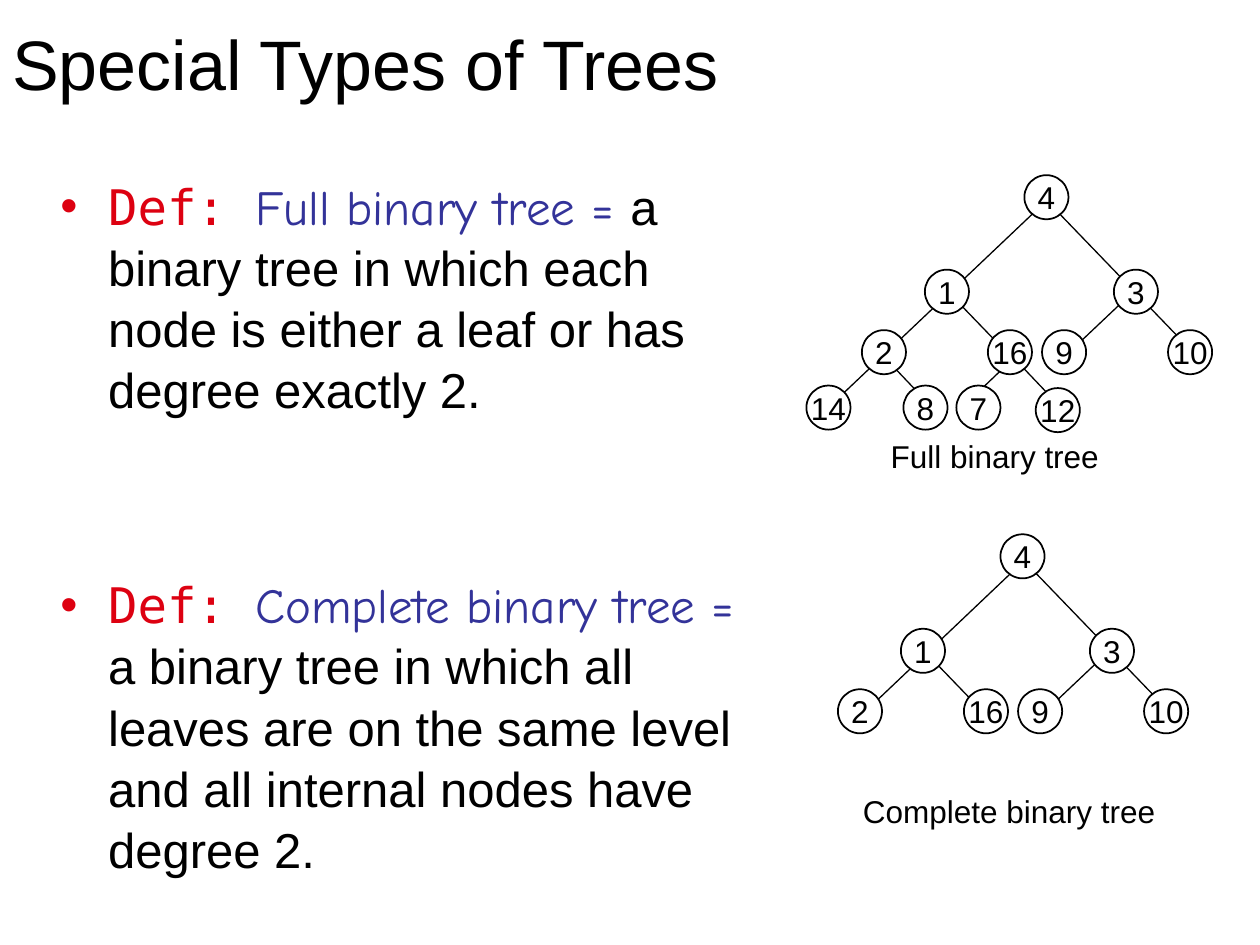
from lxml.etree import SubElement
from pptx import Presentation
from pptx.dml.color import RGBColor
from pptx.enum.shapes import MSO_CONNECTOR, MSO_SHAPE
from pptx.enum.text import MSO_ANCHOR, PP_ALIGN
from pptx.oxml.ns import qn
from pptx.util import Inches, Pt

COLORS = {"ink": "000000", "paper": "FFFFFF", "label": "DD0111", "term": "333399"}
NODE_SIZE = 0.35
TOP_NODES = [("4", 1.73, 0), ("1", 0.94, 0.75), ("3", 2.44, 0.75),
             ("2", 0.44, 1.23), ("16", 1.44, 1.23), ("9", 1.87, 1.23), ("10", 2.87, 1.23)]
LEAF_NODES = [("14", 0, 1.67), ("8", 0.77, 1.67), ("7", 1.19, 1.67), ("12", 1.82, 1.69)]
TOP_EDGES = [(2.05, 1.44, 2.61, 0.91), (1.63, 1.45, 1.09, 0.89), (3.14, 1.48, 1.8, 0.09)]
FULL_EDGES = [(2.13, 1.96, 1.55, 1.35), (1.24, 1.84, 1.69, 1.41),
              (1.08, 1.93, 0.5, 1.32), (0.19, 1.83, 1.94, 0.17)]
COMPLETE_EDGES = [(0.56, 1.5, 1.97, 0.16)]
DEFINITIONS = [
    ("Full binary tree = ",
     "a binary tree in which each node is either a leaf or has degree exactly 2."),
    ("Complete binary tree = ",
     "a binary tree in which all leaves are on the same level "
     "and all internal nodes have degree 2."),
]


def rgb(name):
    """Return the named colour."""
    return RGBColor.from_string(COLORS[name])


def write(paragraph, text, size=18, font="Arial", color="ink", align=PP_ALIGN.LEFT):
    """Add one formatted run to a paragraph."""
    paragraph.alignment = align
    run = paragraph.add_run()
    run.text = text
    run.font.size = Pt(size)
    run.font.name = font
    run.font.color.rgb = rgb(color)


def add_bullet(paragraph):
    """Give a paragraph a hanging red bullet."""
    properties = paragraph._p.get_or_add_pPr()
    properties.set("marL", str(Inches(0.38)))
    properties.set("indent", str(-Inches(0.38)))
    bullet_color = SubElement(properties, qn("a:buClr"))
    SubElement(bullet_color, qn("a:srgbClr"), val=COLORS["label"])
    SubElement(properties, qn("a:buFont"), typeface="Arial")
    SubElement(properties, qn("a:buChar"), char="•")


def add_title(slide, left, top, width, height):
    """Place the slide title."""
    title = slide.shapes.add_textbox(Inches(left), Inches(top), Inches(width), Inches(height))
    title.text_frame.word_wrap = True
    title.text_frame.vertical_anchor = MSO_ANCHOR.MIDDLE
    write(title.text_frame.paragraphs[0], "Special Types of Trees", size=40)


def add_definitions(slide, left, top, width, height):
    """Place the bulleted definitions."""
    body = slide.shapes.add_textbox(Inches(left), Inches(top), Inches(width), Inches(height))
    frame = body.text_frame
    frame.word_wrap = True
    for index, (term, meaning) in enumerate(DEFINITIONS):
        paragraph = frame.add_paragraph() if index else frame.paragraphs[0]
        add_bullet(paragraph)
        paragraph.line_spacing = 1.04
        if index:
            paragraph.space_before = Pt(88)
        write(paragraph, "Def: ", size=28, font="DejaVu Sans Mono", color="label")
        write(paragraph, term, size=28, font="Comic Neue", color="term")
        write(paragraph, meaning, size=28)


def add_edge(shapes, x1, y1, x2, y2):
    """Draw a thin line between two points."""
    edge = shapes.add_connector(MSO_CONNECTOR.STRAIGHT,
                                Inches(x1), Inches(y1), Inches(x2), Inches(y2))
    edge.line.color.rgb = rgb("ink")
    edge.line.width = Pt(0.75)
    SubElement(edge._element.spPr, qn("a:effectLst"))


def add_node(shapes, key, left, top):
    """Draw a circle holding its key."""
    node = shapes.add_shape(MSO_SHAPE.OVAL, Inches(left), Inches(top),
                            Inches(NODE_SIZE), Inches(NODE_SIZE))
    node.shadow.inherit = False
    node.fill.solid()
    node.fill.fore_color.rgb = rgb("paper")
    node.line.color.rgb = rgb("ink")
    node.line.width = Pt(1)
    node.text_frame.word_wrap = False
    node.text_frame.vertical_anchor = MSO_ANCHOR.MIDDLE
    write(node.text_frame.paragraphs[0], key, align=PP_ALIGN.CENTER)


def add_tree(slide, left, top, nodes, edges, caption, caption_box):
    """Place a grouped tree with its caption, measured from its top left corner."""
    shapes = slide.shapes.add_group_shape().shapes
    for x1, y1, x2, y2 in edges:
        add_edge(shapes, left + x1, top + y1, left + x2, top + y2)
    for key, x, y in nodes:
        add_node(shapes, key, left + x, top + y)
    x, y, width, height = caption_box
    label = shapes.add_textbox(Inches(left + x), Inches(top + y), Inches(width), Inches(height))
    label.text_frame.word_wrap = False
    write(label.text_frame.paragraphs[0], caption)


def main():
    """Build and save the slide."""
    deck = Presentation()
    deck.slide_width, deck.slide_height = Inches(10), Inches(7.5)
    slide = deck.slides.add_slide(deck.slide_layouts[6])
    add_title(slide, 0, 0, 9, 0.99)
    add_definitions(slide, 0.38, 1.33, 5.79, 5.63)
    add_tree(slide, 6.4, 1.39, TOP_NODES + LEAF_NODES, TOP_EDGES + FULL_EDGES,
             "Full binary tree", (0.57, 2.03, 1.85, 0.4))
    add_tree(slide, 6.21, 4.24, TOP_NODES, TOP_EDGES + COMPLETE_EDGES,
             "Complete binary tree", (0.54, 2, 2.52, 0.4))
    deck.save("out.pptx")


if __name__ == "__main__":
    main()
